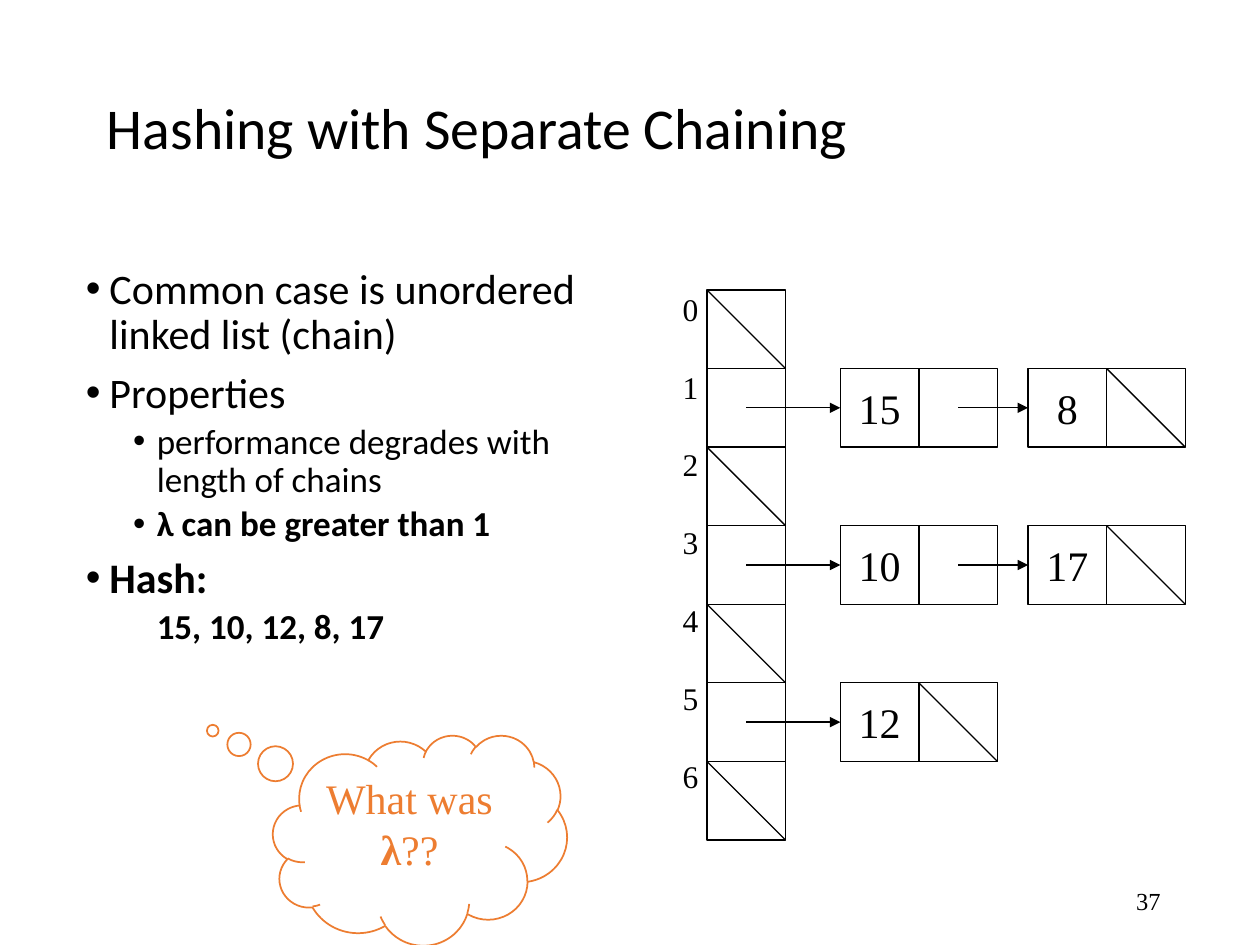
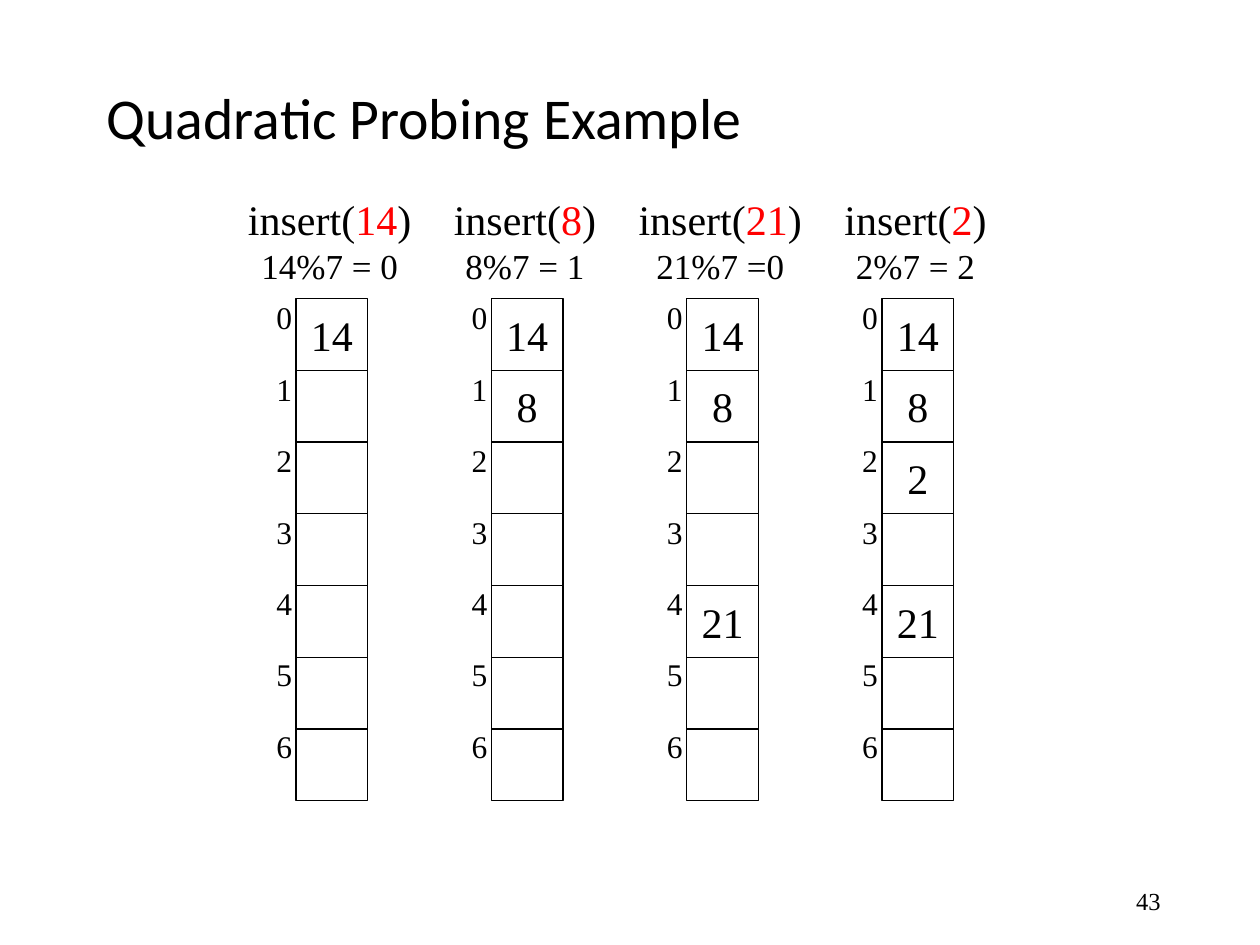
from lxml.etree import SubElement
from pptx import Presentation
from pptx.dml.color import RGBColor
from pptx.enum.shapes import MSO_CONNECTOR as Connector, MSO_SHAPE as Preset
from pptx.enum.text import MSO_ANCHOR as Anchor, PP_ALIGN as Align
from pptx.oxml.ns import qn
from pptx.util import Pt

COLORS = {"ink": "000000", "accent": "ED7D31", "key": "FF0000"}
SERIF, SANS = "Times New Roman", "Calibri"


def add_text(slide, paragraphs, left, top, width, height, preset=None, size=24,
             font=SERIF, color="ink", line_width=0.75, align=Align.LEFT,
             anchor=Anchor.TOP, wrap=False, line_spacing=None):
    """Add a text box, or an outlined preset shape; a run is (text, own format)."""
    box = [Pt(value) for value in (left, top, width, height)]
    if preset is None:
        shape = slide.shapes.add_textbox(*box)
    else:
        shape = slide.shapes.add_shape(preset, *box)
        shape.shadow.inherit = False
        shape.fill.background()
        shape.line.color.rgb = RGBColor.from_string(COLORS[color])
        shape.line.width = Pt(line_width)
    frame = shape.text_frame
    frame.word_wrap = wrap
    frame.vertical_anchor = anchor
    for index, runs in enumerate(paragraphs):
        paragraph = frame.add_paragraph() if index else frame.paragraphs[0]
        paragraph.alignment = align
        paragraph.line_spacing = line_spacing
        for text, own in [(runs, {})] if isinstance(runs, str) else runs:
            run = paragraph.add_run()
            run.text = text
            run.font.name = font
            run.font.size = Pt(own.get("size", size))
            run.font.bold = own.get("bold", False)
            run.font.color.rgb = RGBColor.from_string(COLORS[own.get("color", color)])
    return shape


def add_line(slide, start, end, target=None):
    """Add a line; with a target it becomes an arrow joined to its left side."""
    line = slide.shapes.add_connector(
        Connector.STRAIGHT, *[Pt(value) for value in (*start, *end)])
    line.line.color.rgb = RGBColor.from_string(COLORS["ink"])
    line.line.width = Pt(0.75)
    properties = line.element.spPr
    if target is not None:
        SubElement(properties.find(qn("a:ln")), qn("a:tailEnd"), type="triangle")
        line.end_connect(target, 1)
    SubElement(properties, qn("a:effectLst"))


presentation = Presentation()
presentation.slide_width, presentation.slide_height = Pt(720), Pt(540)

# Titles and page numbers
slides = []
for title, title_top, number in [("Hashing with Separate Chaining", 30, "37"),
                                 ("Quadratic Probing Example", 24, "43")]:
    slide = presentation.slides.add_slide(presentation.slide_layouts[6])
    add_text(slide, [title], 54, title_top, 612, 90, size=33, font=SANS,
             anchor=Anchor.MIDDLE, wrap=True, line_spacing=0.9)
    add_text(slide, [number], 508.3, 500.4, 162, 28.8, size=14,
             align=Align.RIGHT, anchor=Anchor.MIDDLE, wrap=True)
    slides.append(slide)
chaining, probing = slides
CELL = {"preset": Preset.RECTANGLE, "align": Align.CENTER, "anchor": Anchor.MIDDLE}

# Separate chaining: hash table with its linked lists
chains = [[], ["15", "8"], [], ["10", "17"], [], ["12"], []]
side, table_left, table_top = 44.9, 404, 165.7
node_lefts = [480.2, 587.5]
for index, chain in enumerate(chains):
    top = table_top + index * side
    middle = top + side / 2
    add_text(chaining, [], table_left, top, side, side, **CELL)
    add_text(chaining, [str(index)], 383, 162 + index * 44.5, 24, 28.8, size=18)
    pointer_left = table_left
    for node_left, value in zip(node_lefts, chain):
        node = add_text(chaining, [value], node_left, top, side, side, **CELL)
        add_line(chaining, (pointer_left + side / 2, middle), (node_left, middle), node)
        pointer_left = node_left + side
        add_text(chaining, [], pointer_left, top, side, side, **CELL)
    # The last pointer of each chain is null
    add_line(chaining, (pointer_left, top), (pointer_left + side, top + side))

# Separate chaining: bullet list (level, text, bold, bullet)
points = [
    (0, "Common case is unordered linked list (chain)", False, True),
    (0, "Properties", False, True),
    (1, "performance degrades with length of chains", False, True),
    (1, "λ can be greater than 1", True, True),
    (0, "Hash:", True, True),
    (1, "15, 10, 12, 8, 17", True, False),
]
body = add_text(
    chaining,
    [[(text, {"size": 20 if level else 24, "bold": bold})]
     for level, text, bold, _ in points],
    42, 149.8, 318, 324, font=SANS, wrap=True, line_spacing=0.9)
for index, (paragraph, point) in enumerate(zip(body.text_frame.paragraphs, points)):
    level, _, _, bullet = point
    paragraph.level = level
    paragraph.space_before = Pt((3.8 if level else 7.5) if index else 0)
    properties = paragraph._p.get_or_add_pPr()
    properties.set("marL", str(Pt(40.5 if level else 13.5)))
    properties.set("indent", str(Pt(-13.5 if bullet else 0)))
    if bullet:
        SubElement(properties, qn("a:buFont"), typeface="Arial")
        SubElement(properties, qn("a:buChar"), char="•")

# Separate chaining: thought cloud
cloud = add_text(chaining, ["What was", [("λ", {"bold": True}), ("??", {})]],
                 156, 420, 168, 120, preset=Preset.CLOUD_CALLOUT, color="accent",
                 line_width=1, align=Align.CENTER, wrap=True)
cloud.adjustments[0], cloud.adjustments[1] = -0.705, -0.521

# Quadratic probing: the table after each insertion
insertions = [("14", "14%7 = 0", 0), ("8", "8%7 = 1", 1),
              ("21", "21%7 =0", 4), ("2", "2%7 = 2", 2)]
side, table_top = 41, 170.6
stored = {}
for step, (key, home, slot) in enumerate(insertions):
    left = 169.2 + step * 111.6
    stored[slot] = key
    add_text(probing,
             [[("insert(", {}), (key, {"color": "key"}), (")", {})],
              [(home, {"size": 20})]],
             left - 34.8, 107.3, 108, 59.8, align=Align.CENTER)
    for index in range(7):
        add_text(probing, [stored[index]] if index in stored else [],
                 left, table_top + index * side, side, side, **CELL)
        add_text(probing, [str(index)], left - 18.4, 167 + index * 40.8,
                 24, 28.8, size=18)

presentation.save("out.pptx")
